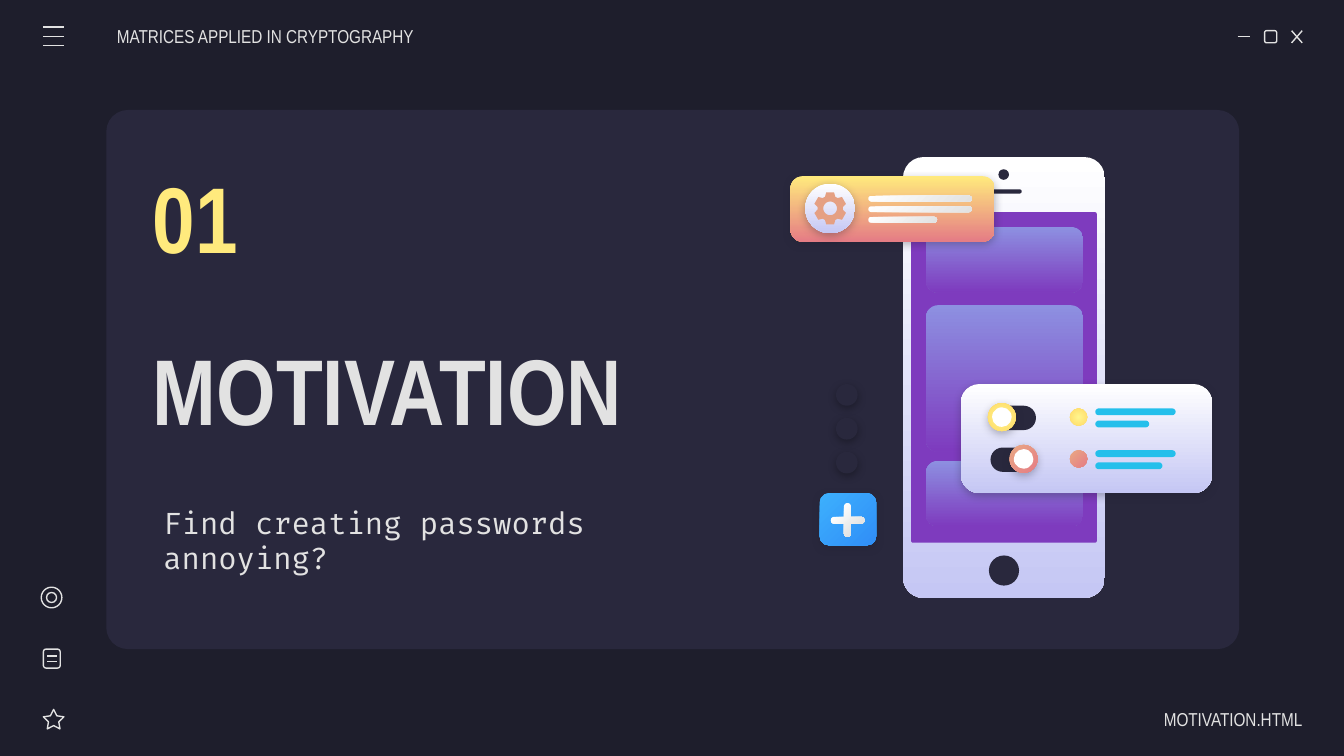
from math import cos, radians, sin

from lxml import etree
from pptx import Presentation
from pptx.dml.color import RGBColor
from pptx.enum.shapes import MSO_CONNECTOR, MSO_SHAPE
from pptx.enum.text import MSO_ANCHOR, PP_ALIGN
from pptx.oxml import parse_xml
from pptx.oxml.ns import qn
from pptx.util import Cm, Pt

ROUND, OVAL, STAR = MSO_SHAPE.ROUNDED_RECTANGLE, MSO_SHAPE.OVAL, MSO_SHAPE.STAR_5_POINT

NIGHT = RGBColor(0x1E, 0x1E, 0x2C)
PANEL = RGBColor(0x29, 0x28, 0x3D)
LIGHT = RGBColor(0xE2, 0xE2, 0xE2)
YELLOW = RGBColor(0xFF, 0xEA, 0x7D)
LEMON = RGBColor(0xFF, 0xF6, 0x8E)
AMBER = RGBColor(0xFF, 0xD9, 0x66)
ROSE = RGBColor(0xE5, 0x7C, 0x85)
PEACH = RGBColor(0xE9, 0xA9, 0x84)
COPPER = RGBColor(0xE5, 0xA0, 0x83)
PURPLE = RGBColor(0x7E, 0x3B, 0xBE)
PERIWINKLE = RGBColor(0x8D, 0x90, 0xE1)
LAVENDER = RGBColor(0xC5, 0xC7, 0xF4)
CYAN = RGBColor(0x24, 0xBF, 0xEB)
SKY = RGBColor(0x3D, 0xB0, 0xFD)
BLUE = RGBColor(0x30, 0x8E, 0xF7)
WHITE = RGBColor(0xFF, 0xFF, 0xFF)
BLACK = RGBColor(0, 0, 0)

# Gradients: first colour, last colour, clockwise angle (None for radial)
PEARL = (WHITE, LAVENDER, 90)
SILVER = (WHITE, LIGHT, 45)
VIOLET = (PERIWINKLE, PURPLE, 90)
SUNSET = (YELLOW, ROSE, 90)
GOLD = (LEMON, AMBER, None)
CORAL = (PEACH, ROSE, 45)
AZURE = (SKY, BLUE, 45)

deck = Presentation()
deck.slide_width, deck.slide_height = Cm(25.4), Cm(14.29)
slide = deck.slides.add_slide(deck.slide_layouts[6])
slide.background.fill.solid()
slide.background.fill.fore_color.rgb = NIGHT
shapes = slide.shapes


def paint(shape, color, shadow=None):
    """Fill with a colour or gradient; None leaves only a thin light outline."""
    shape.shadow.inherit = False
    if color is None:
        shape.fill.background()
        shape.line.color.rgb = LIGHT
        shape.line.width = Pt(0.75)
        return
    shape.line.fill.background()
    if isinstance(color, RGBColor):
        shape.fill.solid()
        shape.fill.fore_color.rgb = color
    else:
        first, last, angle = color
        shape.fill.gradient()
        for stop, stop_color in zip(shape.fill.gradient_stops, (first, last)):
            stop.color.rgb = stop_color
        if angle is None:
            linear = shape._element.spPr.find(".//" + qn("a:lin"))
            radial = etree.SubElement(linear.getparent(), qn("a:path"), path="circle")
            etree.SubElement(radial, qn("a:fillToRect"), l="50000", t="50000", r="50000", b="50000")
            linear.getparent().replace(linear, radial)
        else:
            shape.fill.gradient_angle = 360 - angle
    if shadow is not None:
        shape._element.spPr.find(qn("a:effectLst")).append(parse_xml(
            '<a:outerShdw xmlns:a="http://schemas.openxmlformats.org/drawingml/2006/main" '
            'blurRad="57150" dist="19050" dir="5400000" algn="bl" rotWithShape="0">'
            f'<a:srgbClr val="{shadow}"><a:alpha val="30000"/></a:srgbClr></a:outerShdw>'))


def add(kind, x, y, w, h, color, corner=None, shadow=None):
    shape = shapes.add_shape(kind, Cm(x), Cm(y), Cm(w), Cm(h))
    if corner is not None:
        shape.adjustments[0] = corner
    paint(shape, color, shadow)


add(ROUND, 2.01, 2.08, 21.41, 10.19, PANEL, 0.04)

# Window, star, note and target icons
add(ROUND, 23.9, 0.58, 0.23, 0.23, None, 0.17)
add(STAR, 0.82, 13.41, 0.39, 0.37, None, 0.25)
add(ROUND, 0.82, 12.27, 0.32, 0.36, None, 0.17)
add(OVAL, 0.78, 11.1, 0.39, 0.39, None)
add(OVAL, 0.88, 11.2, 0.19, 0.19, None)

strokes = [
    (23.39, 0.69, 23.62, 0.69),  # minimise
    (24.41, 0.58, 24.61, 0.81), (24.61, 0.58, 24.41, 0.81),  # close
    *[(0.82, y, 1.21, y) for y in (0.51, 0.69, 0.86)],  # menu
    *[(0.89, y, 1.07, y) for y in (12.4, 12.5)],  # note lines
]
for x1, y1, x2, y2 in strokes:
    stroke = shapes.add_connector(MSO_CONNECTOR.STRAIGHT, Cm(x1), Cm(y1), Cm(x2), Cm(y2))
    stroke.line.color.rgb = LIGHT
    stroke.line.width = Pt(0.75)
    etree.SubElement(stroke._element.spPr, qn("a:effectLst"))

# Text: wording, box, left and right inset, font, size, bold, colour, alignment
texts = [
    ("MATRICES APPLIED IN CRYPTOGRAPHY", (2.21, 0.3, 6.78, 0.76), (0, 0.25),
     "Arial Narrow", 10, False, LIGHT, PP_ALIGN.LEFT),
    ("MOTIVATION.HTML", (21.64, 13.21, 2.97, 0.76), (0.25, 0),
     "Arial Narrow", 10, False, LIGHT, PP_ALIGN.RIGHT),
    ("MOTIVATION", (2.64, 5.26, 12.32, 4.17), (0.25, 0.25),
     "Arial Narrow", 50, True, LIGHT, PP_ALIGN.LEFT),
    ("01", (2.64, 2.92, 4.52, 2.34), (0.25, 0.25),
     "Arial Narrow", 50, True, YELLOW, PP_ALIGN.LEFT),
    ("Find creating passwords annoying?", (2.84, 9.22, 10.13, 1.98), (0.25, 0.25),
     "Fira Code", 16, False, LIGHT, PP_ALIGN.LEFT),
]
for wording, box, (left, right), face, size, bold, color, align in texts:
    frame = shapes.add_textbox(*map(Cm, box)).text_frame
    frame.word_wrap = True
    frame.vertical_anchor = MSO_ANCHOR.MIDDLE
    frame.margin_left, frame.margin_right = Cm(left), Cm(right)
    frame.margin_top = frame.margin_bottom = Cm(0.25)
    frame.text = wording
    paragraph = frame.paragraphs[0]
    paragraph.alignment = align
    font = paragraph.runs[0].font
    font.name, font.size, font.bold = face, Pt(size), bold
    font.color.rgb = color

# Phone
add(ROUND, 17.07, 2.97, 3.81, 8.33, PEARL, 0.1)
add(ROUND, 17.22, 4.01, 3.51, 6.25, PURPLE, 0.01)
add(OVAL, 18.87, 3.2, 0.2, 0.2, PANEL)
add(ROUND, 18.67, 3.58, 0.64, 0.08, PANEL, 0.5)
add(OVAL, 18.69, 10.5, 0.57, 0.57, PANEL)
for y, height in ((4.29, 1.24), (5.77, 2.77), (8.71, 1.24)):
    add(ROUND, 17.5, y, 2.97, height, VIOLET, 0.23 / min(2.97, height))

# Settings banner with gear
add(ROUND, 14.94, 3.33, 3.86, 1.24, SUNSET, 0.19, NIGHT)
add(OVAL, 15.22, 3.47, 0.94, 0.94, PEARL, shadow=NIGHT)
tooth = ((-24, 0.24), (-14, 0.31), (14, 0.31), (24, 0.24))
rim = [(turn + offset, radius) for turn in range(0, 360, 60) for offset, radius in tooth]
hole = [(-turn, 0.13) for turn in range(0, 360, 15)]
rim, hole = [[(Cm(15.69 + r * sin(radians(a))), Cm(3.94 - r * cos(radians(a))))
              for a, r in outline] for outline in (rim, hole)]
gear = shapes.build_freeform(*rim[0])
gear.add_line_segments(rim[1:])
gear.move_to(*hole[0])
gear.add_line_segments(hole[1:])
paint(gear.convert_to_shape(), COPPER)
for row, width in enumerate((1.96, 1.96, 1.3)):
    add(ROUND, 16.41, 3.7 + 0.2 * row, width, 0.11, SILVER, 0.5)

# Card with two switches
add(ROUND, 18.16, 7.26, 4.75, 2.06, PEARL, 0.17, NIGHT)
switches = [(7.67, 18.67, GOLD, 1.02), (8.46, 19.08, CORAL, 1.27)]
for y, knob_x, color, short_bar in switches:
    add(ROUND, 18.72, y, 0.86, 0.46, PANEL, 0.5)
    add(OVAL, knob_x, y - 0.05, 0.53, 0.53, color, shadow=NIGHT)
    add(OVAL, knob_x + 0.08, y + 0.03, 0.37, 0.37, WHITE)
    add(OVAL, 20.22, y + 0.05, 0.33, 0.33, color)
    add(ROUND, 20.7, y + 0.05, 1.52, 0.13, CYAN, 0.5)
    add(ROUND, 20.7, y + 0.28, short_bar, 0.13, CYAN, 0.5)

# Plus button and dots
add(ROUND, 15.49, 9.32, 1.07, 0.99, AZURE, 0.18, NIGHT)
add(ROUND, 15.7, 9.77, 0.64, 0.13, SILVER, 0.5)
add(ROUND, 15.95, 9.51, 0.13, 0.64, SILVER, 0.5)
for row in range(3):
    add(OVAL, 15.8, 7.26 + 0.64 * row, 0.41, 0.41, PANEL, shadow=BLACK)

deck.save("out.pptx")
